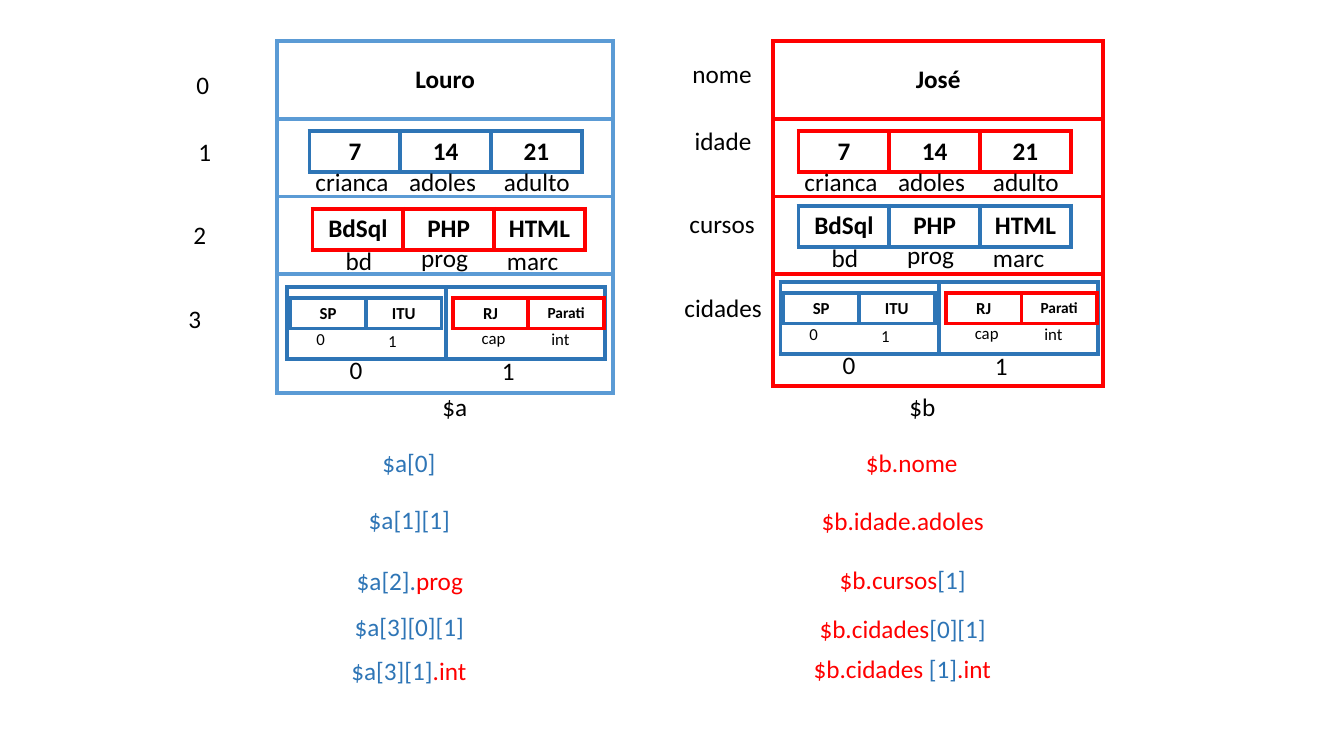
from lxml.etree import SubElement
from pptx import Presentation
from pptx.dml.color import RGBColor
from pptx.enum.text import MSO_ANCHOR, MSO_AUTO_SIZE, PP_ALIGN
from pptx.oxml.ns import qn
from pptx.util import Inches, Pt

COLORS = {"black": "000000", "light": "5B9BD5", "blue": "2E75B6", "red": "FF0000"}
FONT = "Calibri"
BORDER_WIDTH = 3

# Outer arrays: left, width, row heights, border colour, first value
ARRAYS = [
    (2.75, 3.33, [0.77, 0.77, 0.77, 1.18], "light", "Louro"),
    (7.67, 3.27, [0.77, 0.77, 0.77, 1.11], "red", "José"),
]
ARRAY_TOP = 0.41

# Labels: text, left, top, width
KEYS = [
    ("0", 1.85, 0.64, 0.33), ("1", 1.87, 1.3, 0.33),
    ("2", 1.82, 2.13, 0.33), ("3", 1.77, 2.96, 0.33),
    ("nome", 6.77, 0.53, 0.8), ("idade", 6.79, 1.19, 0.77),
    ("cursos", 6.74, 2.02, 0.86), ("cidades", 6.69, 2.85, 0.98),
    ("$a", 4.29, 3.83, 0.45), ("$b", 8.92, 3.83, 0.46),
]

# Inner arrays: tables as (values, dx, dy, column width, height, size, colour for $a, for $b),
# labels as (text, dx, dy, width, size), both measured from the block's origin
AGES = {
    "origins": [(3.07, 1.3), (7.92, 1.3)],
    "tables": [(["7", "14", "21"], 0, 0, 0.9, 0.41, 18, "blue", "red")],
    "labels": [("crianca", -0.04, 0.3, 0.93, 18), ("adoles", 0.89, 0.3, 0.87, 18),
               ("adulto", 1.83, 0.3, 0.86, 18)],
}
COURSES = {
    "origins": [(3.1, 2.07), (7.92, 2.04)],
    "tables": [(["BdSql", "PHP", "HTML"], 0, 0, 0.9, 0.41, 18, "red", "blue")],
    "labels": [("bd", 0.23, 0.31, 0.47, 18), ("prog", 0.98, 0.29, 0.67, 18),
               ("marc", 1.83, 0.31, 0.72, 18)],
}
CITIES = {
    "origins": [(2.85, 2.85), (7.74, 2.8)],
    "tables": [
        (["", ""], 0, 0, 1.575, 0.71, 18, "blue", "blue"),
        (["SP", "ITU"], 0.03, 0.11, 0.75, 0.3, 12, "blue", "blue"),
        (["RJ", "Parati"], 1.64, 0.11, 0.75, 0.3, 12, "red", "red"),
    ],
    "labels": [("0", 0.19, 0.36, 0.29, 12), ("1", 0.9, 0.38, 0.29, 12),
               ("cap", 1.83, 0.35, 0.44, 12), ("int", 2.52, 0.36, 0.38, 12),
               ("0", 0.52, 0.62, 0.33, 18), ("1", 2.03, 0.63, 0.33, 18)],
}
SMALLER_VALUES = {"Parati": 11}

# Access expressions: coloured runs, left, top, width
INDEX_EXPRESSIONS = [
    ([("$a[0]", "blue")], 3.69, 4.39, 0.73),
    ([("$a[1][1]", "blue")], 3.55, 4.95, 1.02),
    ([("$a[2].", "blue"), ("prog", "red")], 3.43, 5.56, 1.27),
    ([("$a[3][0][1]", "blue")], 3.41, 6.02, 1.3),
    ([("$a[3][1]", "blue"), (".int", "red")], 3.38, 6.45, 1.35),
]
KEY_EXPRESSIONS = [
    ([("$b.nome", "red")], 8.49, 4.39, 1.12),
    ([("$b.idade.adoles", "red")], 8.05, 4.96, 1.83),
    ([("$b.cursos", "red"), ("[1]", "blue")], 8.23, 5.55, 1.46),
    ([("$b.cidades", "red"), ("[0][1]", "blue")], 8.03, 6.04, 1.87),
    ([("$b.cidades ", "red"), ("[1]", "blue"), (".int", "red")], 7.97, 6.43, 1.98),
]


def write_text(paragraph, text, size=18, color="black", bold=False, align=PP_ALIGN.LEFT):
    paragraph.alignment = align
    run = paragraph.add_run()
    run.text = text
    run.font.name = FONT
    run.font.size = Pt(size)
    run.font.bold = bold
    run.font.color.rgb = RGBColor.from_string(COLORS[color])


def add_label(slide, runs, left, top, width, size=18, align=PP_ALIGN.LEFT):
    height = 0.4 if size == 18 else 0.3
    box = slide.shapes.add_textbox(Inches(left), Inches(top), Inches(width), Inches(height))
    box.text_frame.word_wrap = False
    box.text_frame.auto_size = MSO_AUTO_SIZE.SHAPE_TO_FIT_TEXT
    for text, color in runs:
        write_text(box.text_frame.paragraphs[0], text, size=size, color=color, align=align)


def outline_cell(cell, color):
    properties = cell._tc.get_or_add_tcPr()
    for side in ("a:lnL", "a:lnR", "a:lnT", "a:lnB"):
        line = SubElement(properties, qn(side), w=str(Pt(BORDER_WIDTH)))
        fill = SubElement(line, qn("a:solidFill"))
        SubElement(fill, qn("a:srgbClr"), val=COLORS[color])
    cell.fill.background()


def add_array(slide, rows, left, top, column_width, row_heights, color, size=18,
              anchor=MSO_ANCHOR.TOP):
    columns = len(rows[0])
    frame = slide.shapes.add_table(
        len(rows), columns, Inches(left), Inches(top),
        Inches(column_width * columns), Inches(sum(row_heights)))
    table = frame.table
    table.first_row = table.horz_banding = False
    for column in table.columns:
        column.width = Inches(column_width)
    for row, height, values in zip(table.rows, row_heights, rows):
        row.height = Inches(height)
        for cell, value in zip(row.cells, values):
            outline_cell(cell, color)
            cell.vertical_anchor = anchor
            if value:
                write_text(cell.text_frame.paragraphs[0], value, bold=True,
                           size=SMALLER_VALUES.get(value, size), align=PP_ALIGN.CENTER)


def add_block(slide, block):
    """Draw one inner array, with its labels, inside both outer arrays."""
    for index, (left, top) in enumerate(block["origins"]):
        for values, dx, dy, width, height, size, *colors in block["tables"]:
            add_array(slide, [values], left + dx, top + dy, width, [height],
                      colors[index], size=size)
        for text, dx, dy, width, size in block["labels"]:
            add_label(slide, [(text, "black")], left + dx, top + dy, width, size=size)


def main():
    presentation = Presentation()
    presentation.slide_width = Inches(13.33)
    presentation.slide_height = Inches(7.5)
    slide = presentation.slides.add_slide(presentation.slide_layouts[6])

    for left, width, heights, color, value in ARRAYS:
        rows = [[value], [""], [""], [""]]
        add_array(slide, rows, left, ARRAY_TOP, width, heights, color,
                  anchor=MSO_ANCHOR.MIDDLE)
    for text, left, top, width in KEYS:
        add_label(slide, [(text, "black")], left, top, width)
    for block in (AGES, COURSES, CITIES):
        add_block(slide, block)
    for expressions, align in ((INDEX_EXPRESSIONS, PP_ALIGN.CENTER),
                               (KEY_EXPRESSIONS, PP_ALIGN.LEFT)):
        for runs, left, top, width in expressions:
            add_label(slide, runs, left, top, width, align=align)

    presentation.save("out.pptx")


if __name__ == "__main__":
    main()
